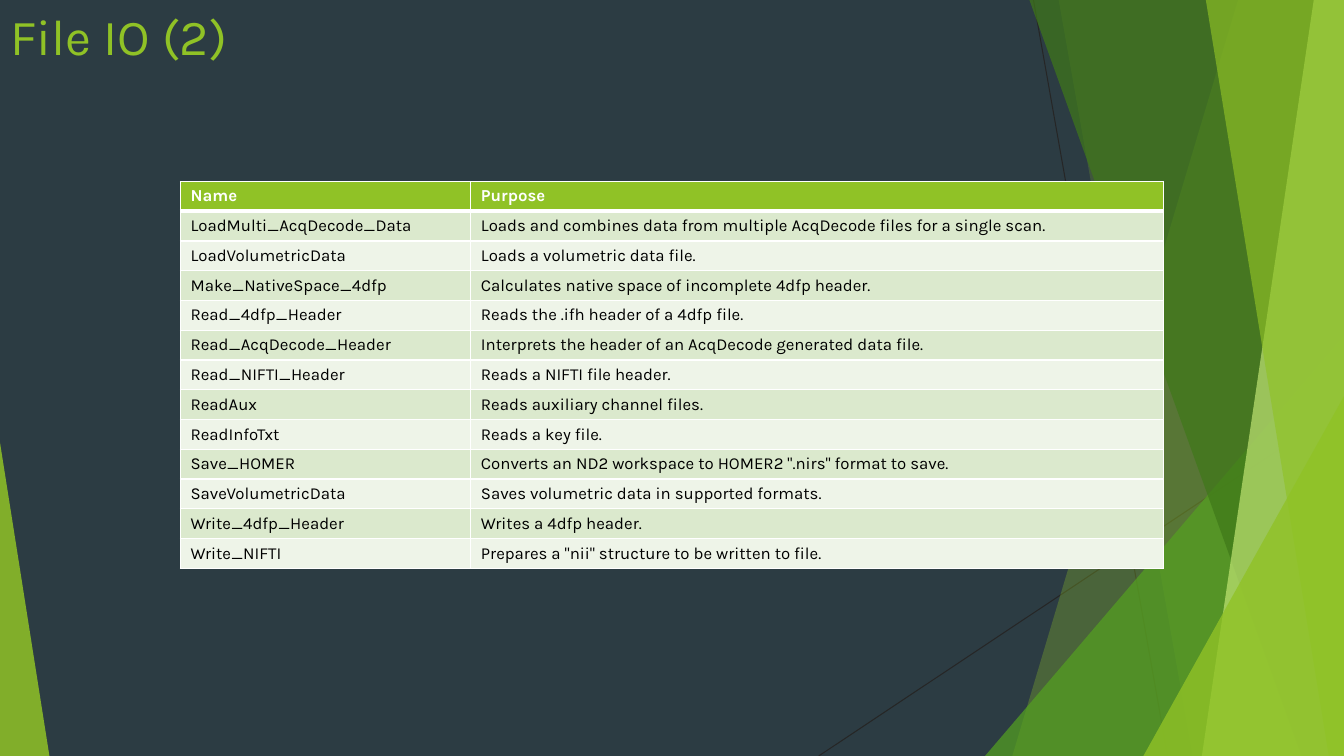
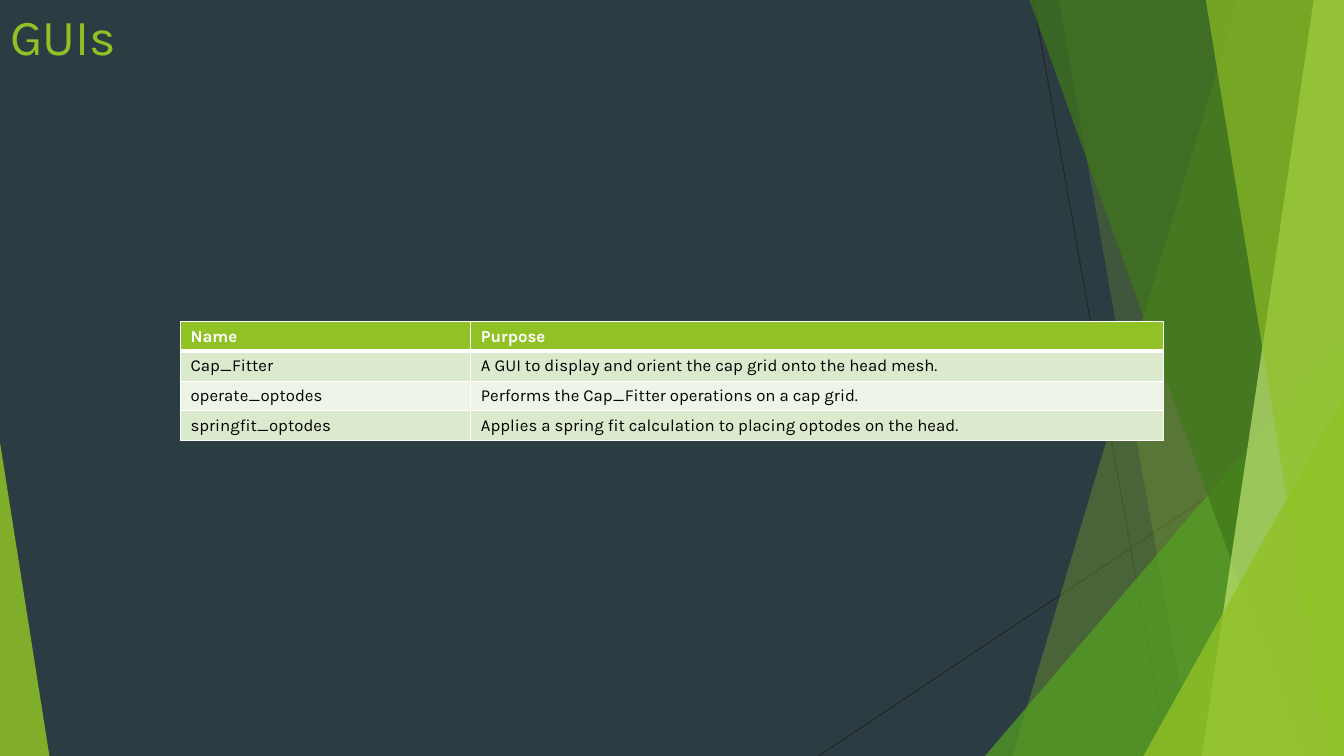
from lxml import etree
from pptx import Presentation
from pptx.dml.color import RGBColor
from pptx.enum.shapes import MSO_CONNECTOR, MSO_SHAPE
from pptx.enum.text import MSO_ANCHOR, PP_ALIGN
from pptx.oxml.ns import qn
from pptx.util import Inches, Pt

FONT = "Karla"
NIGHT, LIME, LEAF, FOREST, PALE = "2C3C43", "90C226", "54A021", "3F7819", "C0E474"
WHITE, BLACK, HAIRLINE = "FFFFFF", "000000", "262626"
BANDS = ("DBE9CD", "EEF4E8")
WIDTH, HEIGHT = 13.33, 7.5

HEADINGS = ("Name", "Purpose")
COLUMN_WIDTHS = (2.88, 6.87)
TABLE_LEFT, ROW_MINIMUM, ROW_DRAWN = 1.79, 0.25, 0.3

# Title, table top, function rows
PAGES = [
    ("File IO (2)", 1.8, [
        ("LoadMulti_AcqDecode_Data",
         "Loads and combines data from multiple AcqDecode files for a single scan."),
        ("LoadVolumetricData", "Loads a volumetric data file."),
        ("Make_NativeSpace_4dfp", "Calculates native space of incomplete 4dfp header."),
        ("Read_4dfp_Header", "Reads the .ifh header of a 4dfp file."),
        ("Read_AcqDecode_Header",
         "Interprets the header of an AcqDecode generated data file."),
        ("Read_NIFTI_Header", "Reads a NIFTI file header."),
        ("ReadAux", "Reads auxiliary channel files."),
        ("ReadInfoTxt", "Reads a key file."),
        ("Save_HOMER", 'Converts an ND2 workspace to HOMER2 ".nirs" format to save.'),
        ("SaveVolumetricData", "Saves volumetric data in supported formats."),
        ("Write_4dfp_Header", "Writes a 4dfp header."),
        ("Write_NIFTI", 'Prepares a "nii" structure to be written to file.'),
    ]),
    ("GUIs", 3.19, [
        ("Cap_Fitter", "A GUI to display and orient the cap grid onto the head mesh."),
        ("operate_optodes", "Performs the Cap_Fitter operations on a cap grid."),
        ("springfit_optodes",
         "Applies a spring fit calculation to placing optodes on the head."),
    ]),
]

# Backdrop: lines by their ends; bands run from the right edge to a slanted
# side (x at top, x at bottom); corners are right triangles (left, top, width, peak)
HAIRLINES = [(10.25, 0, 11.58, HEIGHT), (WIDTH, 4.03, 8.12, HEIGHT)]
FACETS = [
    ("band", (12.28, 10.04), LIME, 30),
    ("band", (10.5, 11.83), LIME, 20),
    ("corner", (9.77, 3.33, 3.56, 1), LEAF, 72),
    ("band", (10.21, 12.91), FOREST, 70),
    ("band", (13.03, 11.92), PALE, 70),
    ("band", (11.96, 13.18), LIME, 65),
    ("corner", (11.34, 3.93, 1.99, 1), LIME, 80),
    ("corner", (0, 4.39, 0.49, 0), LIME, 85),
]


def rgb(value):
    return RGBColor.from_string(value)


def write(frame, text, size=12, color=BLACK, bold=False, anchor=MSO_ANCHOR.TOP):
    frame.word_wrap = True
    frame.vertical_anchor = anchor
    paragraph = frame.paragraphs[0]
    paragraph.alignment = PP_ALIGN.LEFT
    run = paragraph.add_run()
    run.text = text
    run.font.name, run.font.size, run.font.bold = FONT, Pt(size), bold
    run.font.color.rgb = rgb(color)


def draw_hairline(shapes, ends):
    line = shapes.add_connector(MSO_CONNECTOR.STRAIGHT, *map(Inches, ends))
    line.line.color.rgb = rgb(HAIRLINE)
    line.line.width = Pt(0.75)
    etree.SubElement(line.element.spPr, qn("a:effectLst"))
    return line


def draw_facet(shapes, kind, geometry, color, opacity):
    if kind == "band":
        top_x, bottom_x = geometry
        outline = shapes.build_freeform(Inches(top_x), 0)
        corners = [(WIDTH, 0), (WIDTH, HEIGHT), (bottom_x, HEIGHT)]
        outline.add_line_segments([(Inches(x), Inches(y)) for x, y in corners])
        facet = outline.convert_to_shape()
    else:
        left, top, width, peak = geometry
        facet = shapes.add_shape(MSO_SHAPE.ISOSCELES_TRIANGLE, Inches(left),
                                 Inches(top), Inches(width), Inches(HEIGHT - top))
        facet.adjustments[0] = peak
    facet.shadow.inherit = False
    facet.line.fill.background()
    facet.fill.solid()
    facet.fill.fore_color.rgb = rgb(color)
    tint = facet.element.spPr.find(qn("a:solidFill"))[0]
    etree.SubElement(tint, qn("a:alpha"), val=str(opacity * 1000))
    return facet


def share_backdrop(slide, layout):
    """Draw the backdrop with the slide's tools and move it to the layout."""
    layout.background.fill.solid()
    layout.background.fill.fore_color.rgb = rgb(NIGHT)
    title, *footers = layout.placeholders
    for footer in footers:
        layout.shapes.element.remove(footer.element)
    parts = [draw_hairline(slide.shapes, ends) for ends in HAIRLINES]
    parts += [draw_facet(slide.shapes, *facet) for facet in FACETS]
    for part in parts:
        title.element.addprevious(part.element)


def set_borders(cell, top, bottom):
    properties = cell._tc.get_or_add_tcPr()
    for place, (side, width) in enumerate(zip("LRTB", (1, 1, top, bottom))):
        border = etree.Element(qn(f"a:ln{side}"), w=str(Pt(width)))
        fill = etree.SubElement(border, qn("a:solidFill"))
        etree.SubElement(fill, qn("a:srgbClr"), val=WHITE)
        properties.insert(place, border)


def add_function_table(slide, top, functions):
    rows = [HEADINGS, *functions]
    drawn_height = Inches(ROW_DRAWN * len(rows))
    frame = slide.shapes.add_table(len(rows), len(HEADINGS), Inches(TABLE_LEFT),
                                   Inches(top), Inches(sum(COLUMN_WIDTHS)), drawn_height)
    table = frame.table
    for column, width in zip(table.columns, COLUMN_WIDTHS):
        column.width = Inches(width)
    for r, texts in enumerate(rows):
        heading = r == 0
        table.rows[r].height = Inches(ROW_MINIMUM)
        for c, text in enumerate(texts):
            cell = table.cell(r, c)
            write(cell.text_frame, text, color=WHITE if heading else BLACK, bold=heading)
            cell.fill.solid()
            cell.fill.fore_color.rgb = rgb(LIME if heading else BANDS[(r - 1) % 2])
            set_borders(cell, top=3 if r == 1 else 1, bottom=3 if heading else 1)
    frame.height = drawn_height


def main():
    deck = Presentation()
    deck.slide_width, deck.slide_height = Inches(WIDTH), Inches(HEIGHT)
    layout = deck.slide_layouts[5]
    for number, (heading, table_top, functions) in enumerate(PAGES):
        slide = deck.slides.add_slide(layout)
        if number == 0:
            share_backdrop(slide, layout)
        title = slide.shapes.title
        title.left, title.top = Inches(0), Inches(0)
        title.width, title.height = Inches(9.4), Inches(1.44)
        write(title.text_frame, heading, size=36, color=LIME)
        add_function_table(slide, table_top, functions)
    deck.save("out.pptx")


if __name__ == "__main__":
    main()
